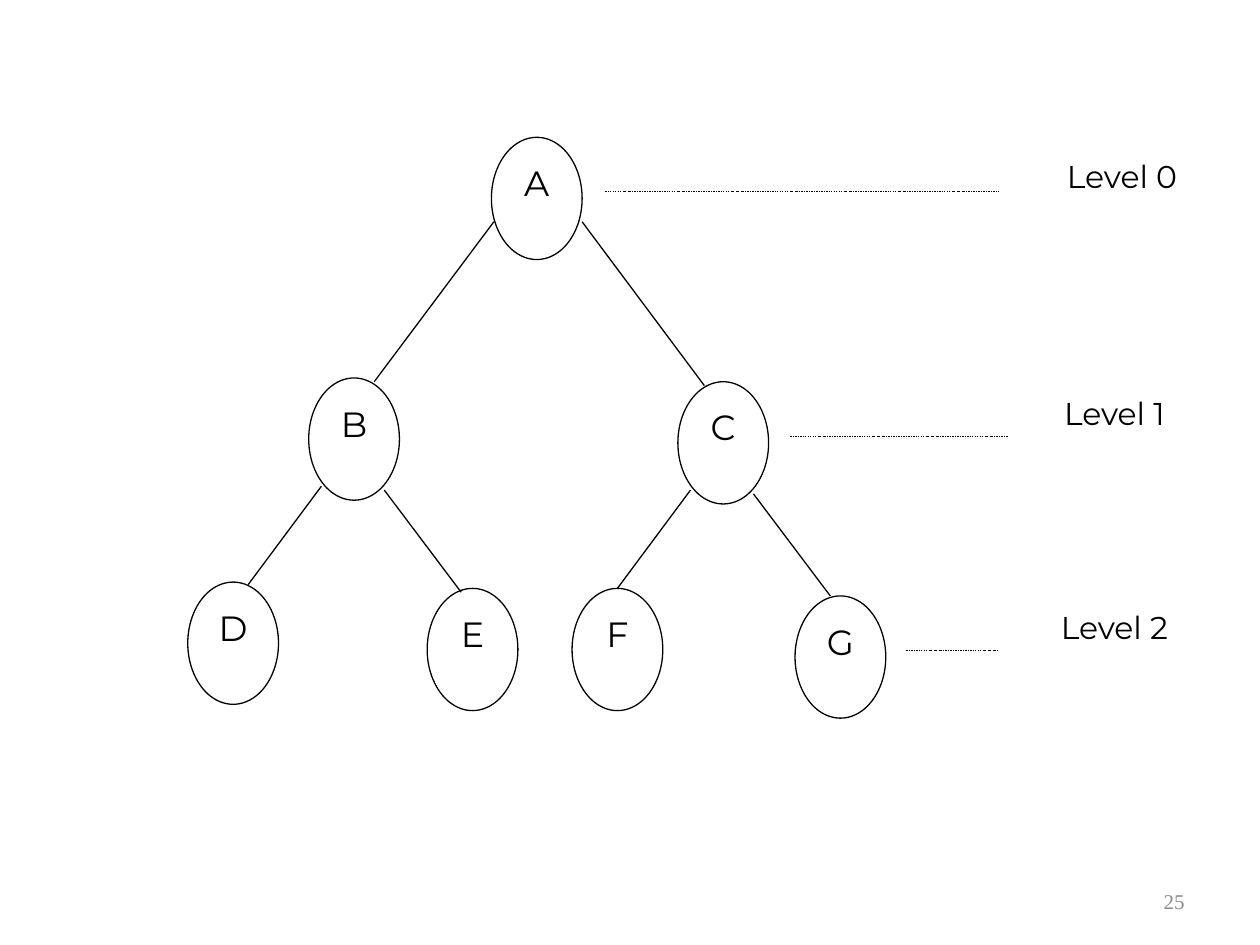
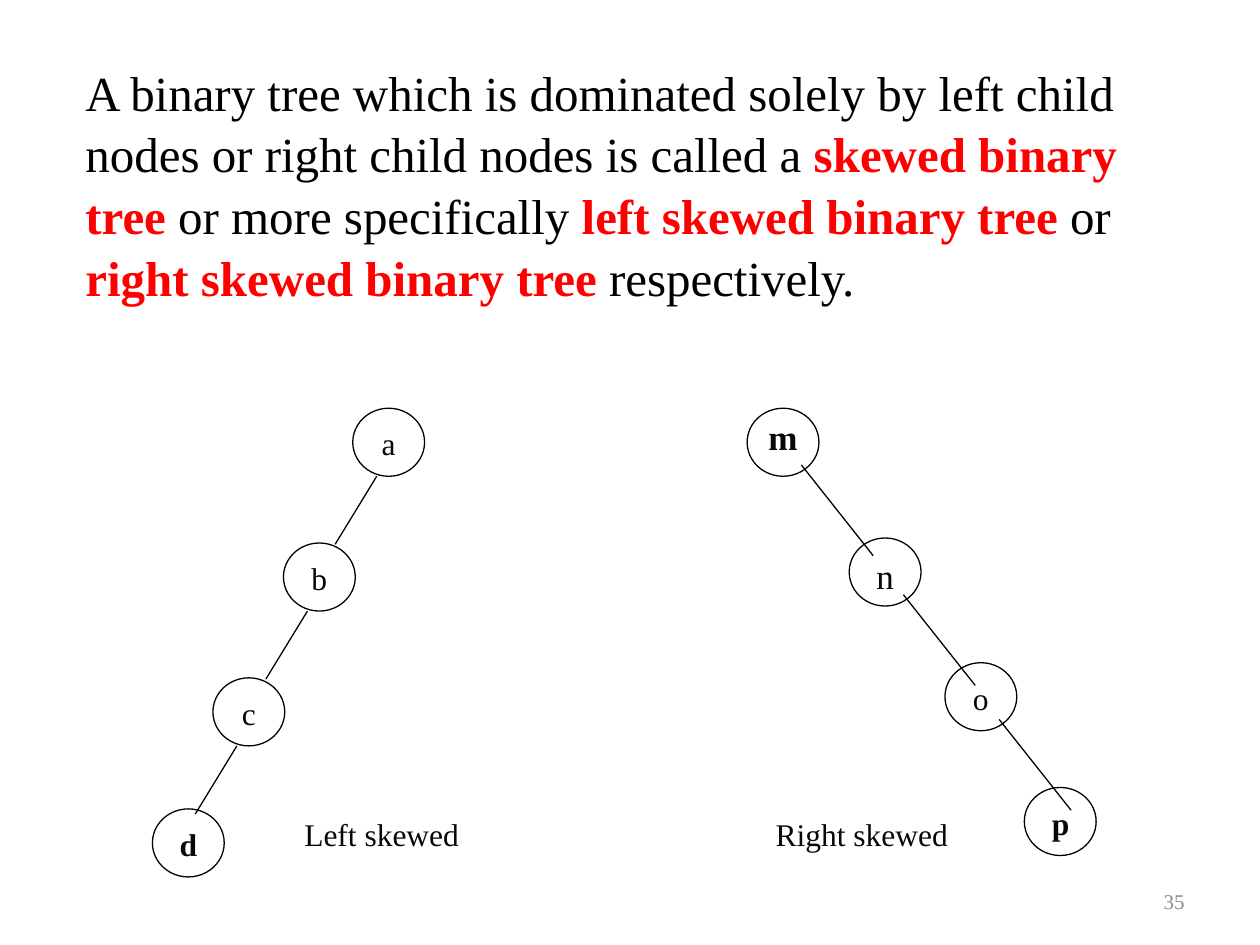
"""Builds two slides on binary trees: levels of a tree, and skewed trees."""
from typing import NamedTuple

from lxml import etree
from pptx import Presentation
from pptx import util as u
from pptx.dml.color import RGBColor
from pptx.enum import dml, shapes, text
from pptx.oxml.ns import qn

COLORS = {"outline": "000000", "ink": "000000", "soft_ink": "080808",
          "term": "FF0000", "page": "8C8C8C"}
SANS, SERIF = "Montserrat", "Times New Roman"
COLUMNS, ROWS = 100, 75
WIDTH, HEIGHT = u.Inches(10), u.Inches(7.5)


class Style(NamedTuple):
    font: str
    size: int
    color: str = "ink"
    bold: bool = False
    align: text.PP_ALIGN = text.PP_ALIGN.CENTER
    anchor: text.MSO_ANCHOR = text.MSO_ANCHOR.TOP


class Node(NamedTuple):
    label: str
    col: float
    row: float
    style: Style


class Branch(NamedTuple):
    """A line that starts at an offset from its parent node."""
    col: float
    row: float
    run: float
    drop: float


class Caption(NamedTuple):
    words: str
    col: float
    row: float
    cols: float
    rows: float
    style: Style


class LevelLine(NamedTuple):
    start: float
    end: float
    row: float


LEVEL_NODE = Style(SANS, 20)
LEVEL_NAME = Style(SANS, 18)
SKEW_NODE = Style(SERIF, 18, "soft_ink")
SKEW_BOLD = SKEW_NODE._replace(bold=True)
SKEW_LARGE = SKEW_NODE._replace(size=20)
LEFT_BOLD = SKEW_BOLD._replace(align=text.PP_ALIGN.LEFT)
DEFINITION = Style(SERIF, 28, align=text.PP_ALIGN.LEFT)
PAGE = Style(SERIF, 12, "page", align=text.PP_ALIGN.RIGHT, anchor=text.MSO_ANCHOR.MIDDLE)

LEVEL_TREE = {node.label: node for node in (
    Node("A", 39, 10.9, LEVEL_NODE),
    Node("B", 24.5, 30, LEVEL_NODE), Node("C", 53.8, 30.3, LEVEL_NODE),
    Node("D", 14.9, 46.2, LEVEL_NODE), Node("E", 33.9, 46.7, LEVEL_NODE),
    Node("F", 45.4, 46.7, LEVEL_NODE), Node("G", 63.1, 47.3, LEVEL_NODE))}
LEVEL_BRANCHES = {
    "A": (Branch(0.2, 6.7, -9.5, 12.7), Branch(7.2, 6.7, 9.7, 13)),
    "BC": (Branch(1, 8.6, -5.8, 7.8), Branch(6, 8.9, 6.1, 8.1))}
LEVEL_LINES = (LevelLine(48, 79.4, 15.2), LevelLine(62.7, 80, 34.6),
               LevelLine(71.9, 79.2, 51.6))
LEVEL_NAMES = (Caption("Level 0", 81.8, 12, 14.5, 6.5, LEVEL_NAME),
               Caption("Level 1", 81.2, 30.8, 14.5, 6.5, LEVEL_NAME),
               Caption("Level 2", 81.2, 47.8, 14.5, 6.5, LEVEL_NAME))

LEFT_CHAIN = (Node("a", 28, 32.4, SKEW_NODE), Node("b", 22.5, 43.1, SKEW_NODE),
              Node("c", 16.9, 53.8, SKEW_NODE), Node("d", 12.1, 64.2, SKEW_BOLD))
RIGHT_CHAIN = (Node("", 59.3, 32.4, SKEW_NODE), Node("n", 67.4, 42.7, SKEW_LARGE),
               Node("o", 75, 52.6, SKEW_NODE), Node("", 81.3, 62.5, SKEW_NODE))
CHAINS = ((LEFT_CHAIN, Branch(1.9, 5.4, -3.3, 5.4)),
          (RIGHT_CHAIN, Branch(4.3, 4.5, 5.7, 7.2)))
SKEW_CAPTIONS = (Caption("Left skewed", 19.8, 64.2, 21, 3.6, SKEW_NODE),
                 Caption("Right skewed", 57.9, 64.2, 21, 5.4, SKEW_NODE),
                 Caption("m", 60, 32.5, 4.2, 4.3, LEFT_BOLD._replace(size=20)),
                 Caption("p", 82.5, 63.3, 3.3, 4, LEFT_BOLD))
DEFINITION_RUNS = (
    ("A binary tree which is dominated solely by left child nodes "
     "or right child nodes is called a ", False),
    ("skewed binary tree ", True), ("or more specifically ", False),
    ("left skewed binary tree ", True), ("or ", False),
    ("right skewed binary tree ", True), ("respectively.", False))


def x(cols: float) -> int:
    return round(WIDTH * cols / COLUMNS)


def y(rows: float) -> int:
    return round(HEIGHT * rows / ROWS)


def format_font(font, style: Style) -> None:
    font.name, font.size, font.bold = style.font, u.Pt(style.size), style.bold
    font.color.rgb = RGBColor.from_string(COLORS[style.color])


def write(frame, words: str, style: Style) -> None:
    frame.text = words
    frame.word_wrap = True
    frame.vertical_anchor = style.anchor
    paragraph = frame.paragraphs[0]
    paragraph.alignment = style.align
    for run in paragraph.runs:
        format_font(run.font, style)


def draw_caption(slide, caption: Caption):
    box = slide.shapes.add_textbox(x(caption.col), y(caption.row),
                                   x(caption.cols), y(caption.rows))
    write(box.text_frame, caption.words, caption.style)
    return box.text_frame.paragraphs[0]


def draw_node(slide, node: Node, cols: float, rows: float) -> None:
    circle = slide.shapes.add_shape(shapes.MSO_SHAPE.OVAL, x(node.col), y(node.row),
                                    x(cols), y(rows))
    circle.shadow.inherit = False
    circle.fill.background()
    circle.line.color.rgb = RGBColor.from_string(COLORS["outline"])
    circle.line.width = u.Pt(0.75)
    if node.label:
        write(circle.text_frame, node.label, node.style)


def draw_line(slide, start: tuple[float, float], end: tuple[float, float],
              weight: float = 0.75):
    line = slide.shapes.add_connector(shapes.MSO_CONNECTOR.STRAIGHT, x(start[0]),
                                      y(start[1]), x(end[0]), y(end[1]))
    line.line.color.rgb = RGBColor.from_string(COLORS["outline"])
    line.line.width = u.Pt(weight)
    etree.SubElement(line._element.spPr, qn("a:effectLst"))
    return line


def draw_branch(slide, parent: Node, branch: Branch) -> None:
    col, row = parent.col + branch.col, parent.row + branch.row
    draw_line(slide, (col, row), (col + branch.run, row + branch.drop))


def add_page(deck, number: int):
    slide = deck.slides.add_slide(deck.slide_layouts[6])
    draw_caption(slide, Caption(str(number), 71.7, 69.5, 23.3, 4, PAGE))
    return slide


def build_levels(deck) -> None:
    slide = add_page(deck, 25)
    for node in LEVEL_TREE.values():
        draw_node(slide, node, 7.2, 9.7)
    for parents, branches in LEVEL_BRANCHES.items():
        for parent in parents:
            for branch in branches:
                draw_branch(slide, LEVEL_TREE[parent], branch)
    for level in LEVEL_LINES:
        guide = draw_line(slide, (level.start, level.row), (level.end, level.row), 0.25)
        guide.line.dash_style = dml.MSO_LINE.DASH_DOT
    for name in LEVEL_NAMES:
        draw_caption(slide, name)


def build_skewed(deck) -> None:
    slide = add_page(deck, 35)
    definition = draw_caption(slide, Caption("", 5.8, 4.2, 88.3, 24.6, DEFINITION))
    definition.line_spacing = 1.05
    for words, is_term in DEFINITION_RUNS:
        run = definition.add_run()
        run.text = words
        format_font(run.font, DEFINITION._replace(color="term" if is_term else "ink",
                                                  bold=is_term))
    for chain, branch in CHAINS:
        for node in chain:
            draw_node(slide, node, 5.7, 5.4)
        for parent in chain[:-1]:
            draw_branch(slide, parent, branch)
    for caption in SKEW_CAPTIONS:
        draw_caption(slide, caption)


def main() -> None:
    deck = Presentation()
    deck.slide_width, deck.slide_height = WIDTH, HEIGHT
    build_levels(deck)
    build_skewed(deck)
    deck.save("out.pptx")


if __name__ == "__main__":
    main()
